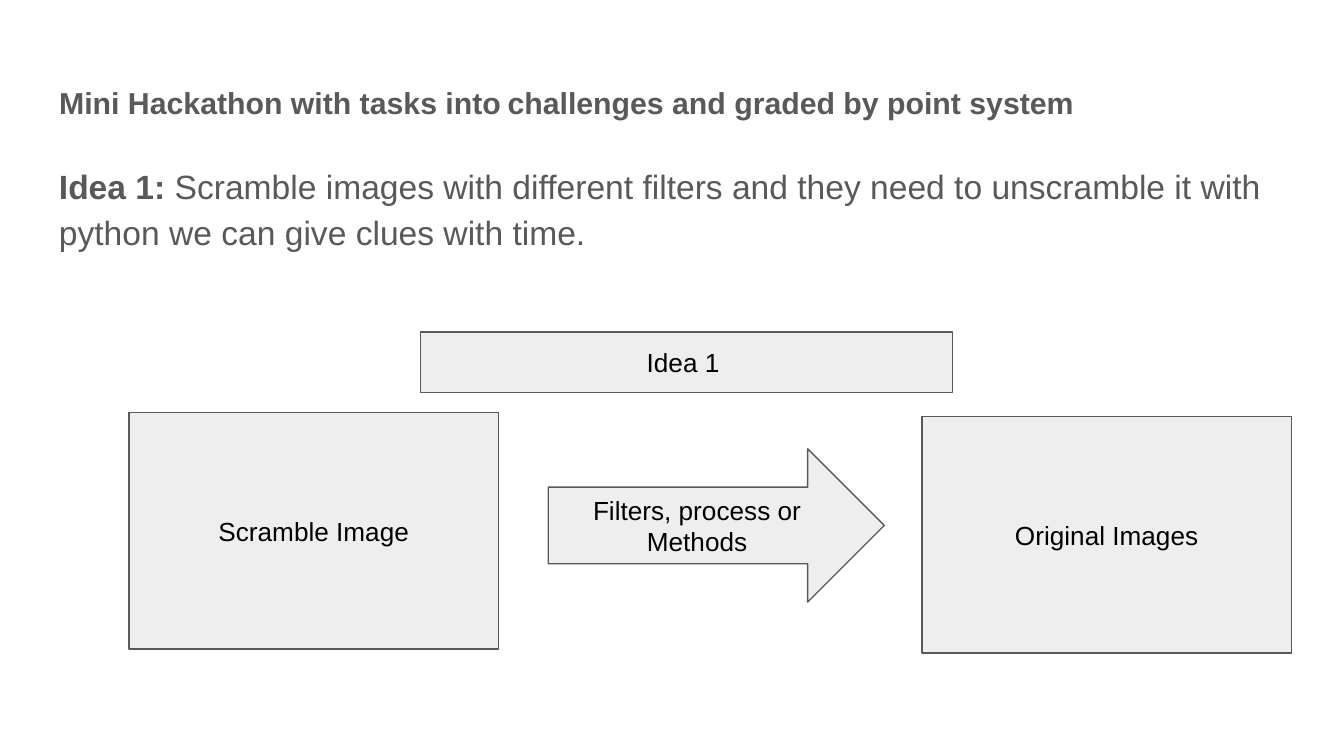
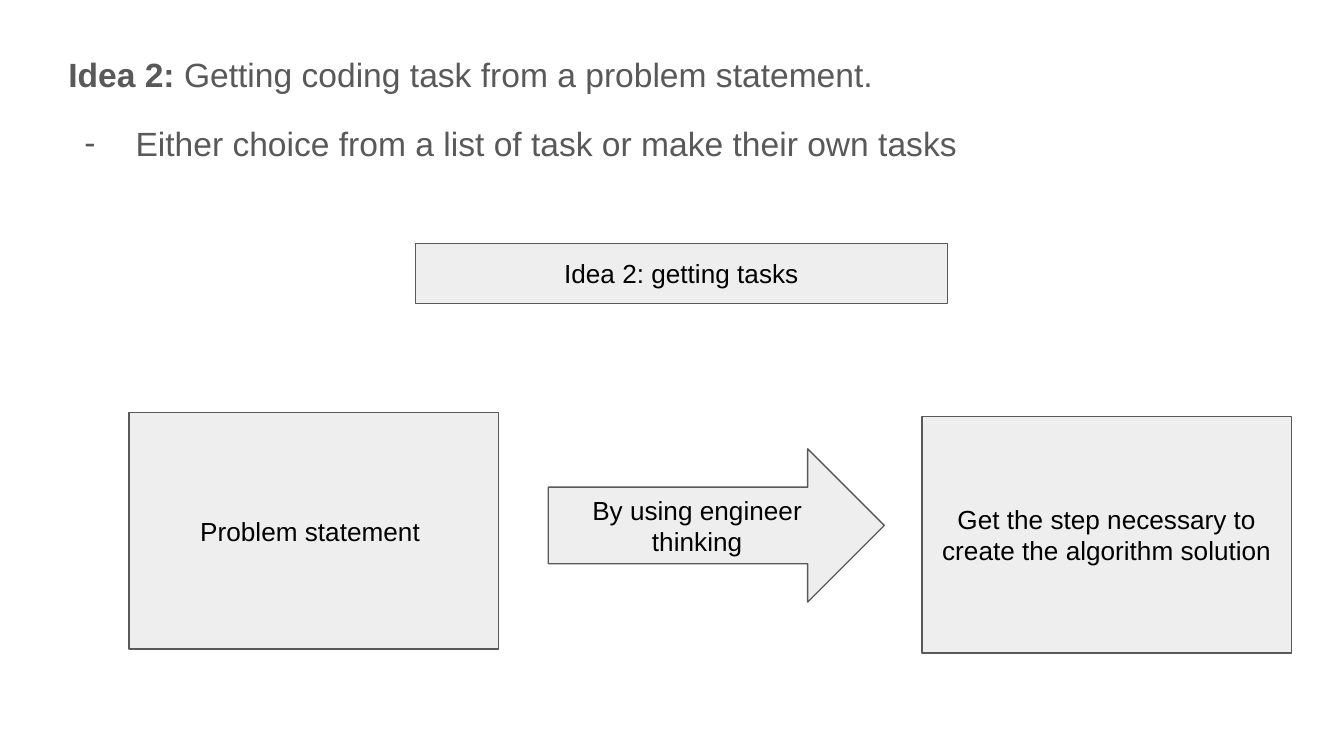
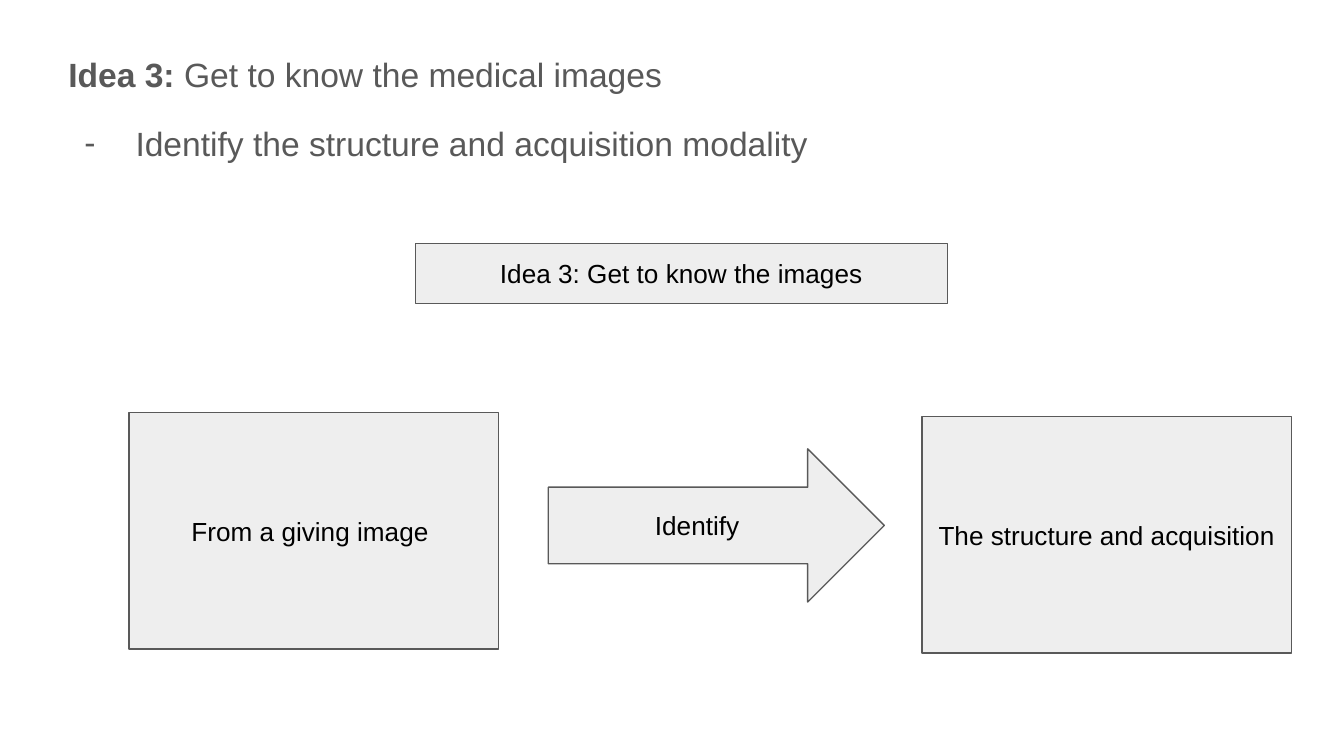
from lxml import etree
from pptx import Presentation
from pptx.dml.color import RGBColor
from pptx.enum.shapes import MSO_SHAPE
from pptx.enum.text import MSO_ANCHOR, MSO_AUTO_SIZE, PP_ALIGN
from pptx.oxml.ns import qn
from pptx.util import Inches, Pt

RECT, ARROW = MSO_SHAPE.RECTANGLE, MSO_SHAPE.RIGHT_ARROW
TOP, MIDDLE = MSO_ANCHOR.TOP, MSO_ANCHOR.MIDDLE
LEFT, CENTER = PP_ALIGN.LEFT, PP_ALIGN.CENTER
NO_FIT = MSO_AUTO_SIZE.NONE

FONT = "Arial"
COLORS = {"gray": "595959", "fill": "EEEEEE", "black": "000000"}
TITLE_ONLY, BLANK = 5, 6
WIDTH = 10
HEIGHT = WIDTH * 9 / 16
INTRO_SIZE, LABEL_SIZE = 18, 14
FLOW_BOX = (0.96, 3.07, 8.65, 1.79)
CARD = (2.75, 1.76)

TITLE = [("Mini Hackathon with tasks into", 16.2), (" ", 12.6),
         ("challenges and graded by point system", 16.2)]

# Lead and rest of the intro, bullet, banner, then start, step and end of the flow
IDEAS = [
    (("Idea 1:", " Scramble images with different filters and they need to "
      "unscramble it with python we can give clues with time."), None,
     "Idea 1 ", ("Scramble Image", "Filters, process or Methods",
                 "Original Images")),
    (("Idea 2: ", "Getting coding task from a problem statement."),
     "Either choice from a list of task or make their own tasks",
     "Idea 2: getting tasks",
     ("Problem statement ", "By using engineer thinking",
      "Get the step necessary to create the algorithm solution")),
    (("Idea 3:", " Get to know the medical images"),
     "Identify the structure and acquisition modality",
     "Idea 3: Get to know the images",
     ("From a giving image ", "Identify", "The structure and acquisition")),
]


def color(name):
    return RGBColor.from_string(COLORS[name])


def inches(box):
    return [Inches(n) for n in box]


def set_frame(frame, anchor):
    frame.word_wrap = True
    frame.auto_size = NO_FIT
    frame.vertical_anchor = anchor
    frame.margin_left = frame.margin_right = Inches(0.1)
    frame.margin_top = frame.margin_bottom = Inches(0.1)


def add_run(para, text, size, tint, bold=False):
    run = para.add_run()
    run.text = text
    font = run.font
    font.name, font.size, font.bold = FONT, Pt(size), bold
    font.color.rgb = color(tint)


def set_para(para):
    para.alignment = LEFT
    para.line_spacing = 1.15


def set_dash(para):
    """Give the paragraph a hanging dash bullet."""
    props = para._p.get_or_add_pPr()
    props.set("marL", str(Inches(0.5)))
    props.set("indent", str(Inches(-0.38)))
    tint = etree.SubElement(props, qn("a:buClr"))
    etree.SubElement(tint, qn("a:srgbClr"), val=COLORS["gray"])
    etree.SubElement(props, qn("a:buFont"), typeface=FONT)
    etree.SubElement(props, qn("a:buChar"), char="-")


def add_title(slide, box):
    title = slide.shapes.title
    title.left, title.top, title.width, title.height = inches(box)
    set_frame(title.text_frame, TOP)
    para = title.text_frame.paragraphs[0]
    set_para(para)
    for text, size in TITLE:
        add_run(para, text, size, "gray", True)


def add_intro(slide, box, intro, bullet):
    frame = slide.shapes.add_textbox(*inches(box)).text_frame
    set_frame(frame, TOP)
    para = frame.paragraphs[0]
    set_para(para)
    lead, rest = intro
    add_run(para, lead, INTRO_SIZE, "gray", True)
    add_run(para, rest, INTRO_SIZE, "gray")
    if bullet:
        para = frame.add_paragraph()
        set_para(para)
        para.space_before = Pt(12)
        set_dash(para)
        add_run(para, bullet, INTRO_SIZE, "gray")


def add_block(slide, kind, box, label):
    block = slide.shapes.add_shape(kind, *inches(box))
    block.shadow.inherit = False
    block.fill.solid()
    block.fill.fore_color.rgb = color("fill")
    block.line.color.rgb = color("gray")
    block.line.width = Pt(0.75)
    set_frame(block.text_frame, MIDDLE)
    para = block.text_frame.paragraphs[0]
    para.alignment = CENTER
    add_run(para, label, LABEL_SIZE, "black")


def add_flow(slide, box, labels):
    """Place the start card, the step arrow and the end card in the box."""
    left, top, width, height = box
    wide, high = CARD
    start, step, end = labels
    add_block(slide, RECT, (left, top, wide, high), start)
    add_block(slide, ARROW, (left + 3.12, top + 0.27, 2.5, 1.14), step)
    add_block(slide, RECT, (left + width - wide, top + height - high,
                            wide, high), end)


def add_idea(deck, idea, first):
    intro, bullet, banner, labels = idea
    layout = TITLE_ONLY if first else BLANK
    slide = deck.slides.add_slide(deck.slide_layouts[layout])
    if first:
        add_title(slide, (0.34, 0.49, 9.32, 0.63))
        intro_box, spot = (0.34, 1.09, 9.32, 1.22), (3.13, 2.47)
    else:
        intro_box, spot = (0.41, 0.26, 9.32, 1.14), (3.09, 1.81)
    add_intro(slide, intro_box, intro, bullet)
    add_flow(slide, FLOW_BOX, labels)
    add_block(slide, RECT, (*spot, 3.96, 0.45), banner)


def main():
    deck = Presentation()
    deck.slide_width, deck.slide_height = inches((WIDTH, HEIGHT))
    for place, idea in enumerate(IDEAS):
        add_idea(deck, idea, place == 0)
    deck.save("out.pptx")


if __name__ == "__main__":
    main()
